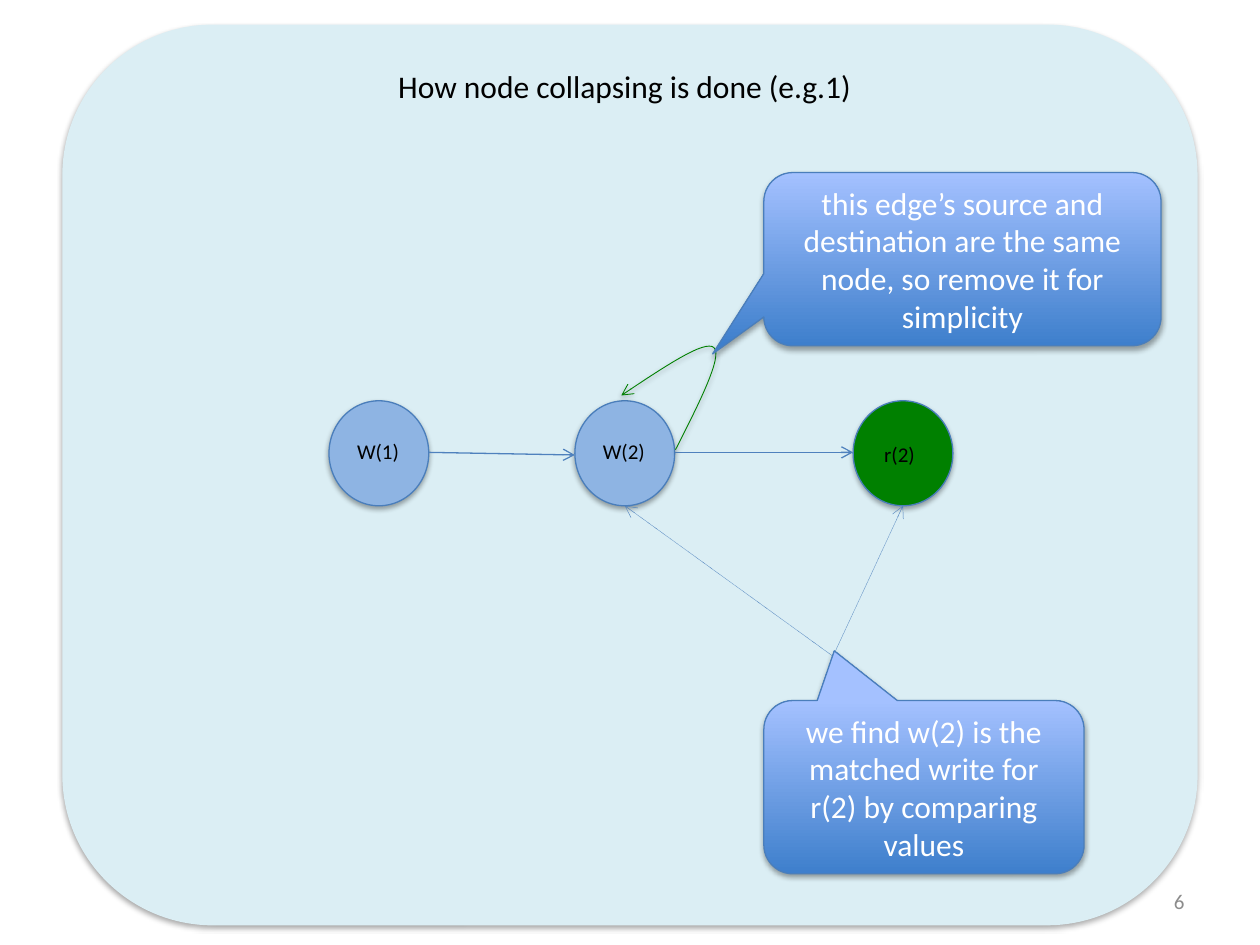
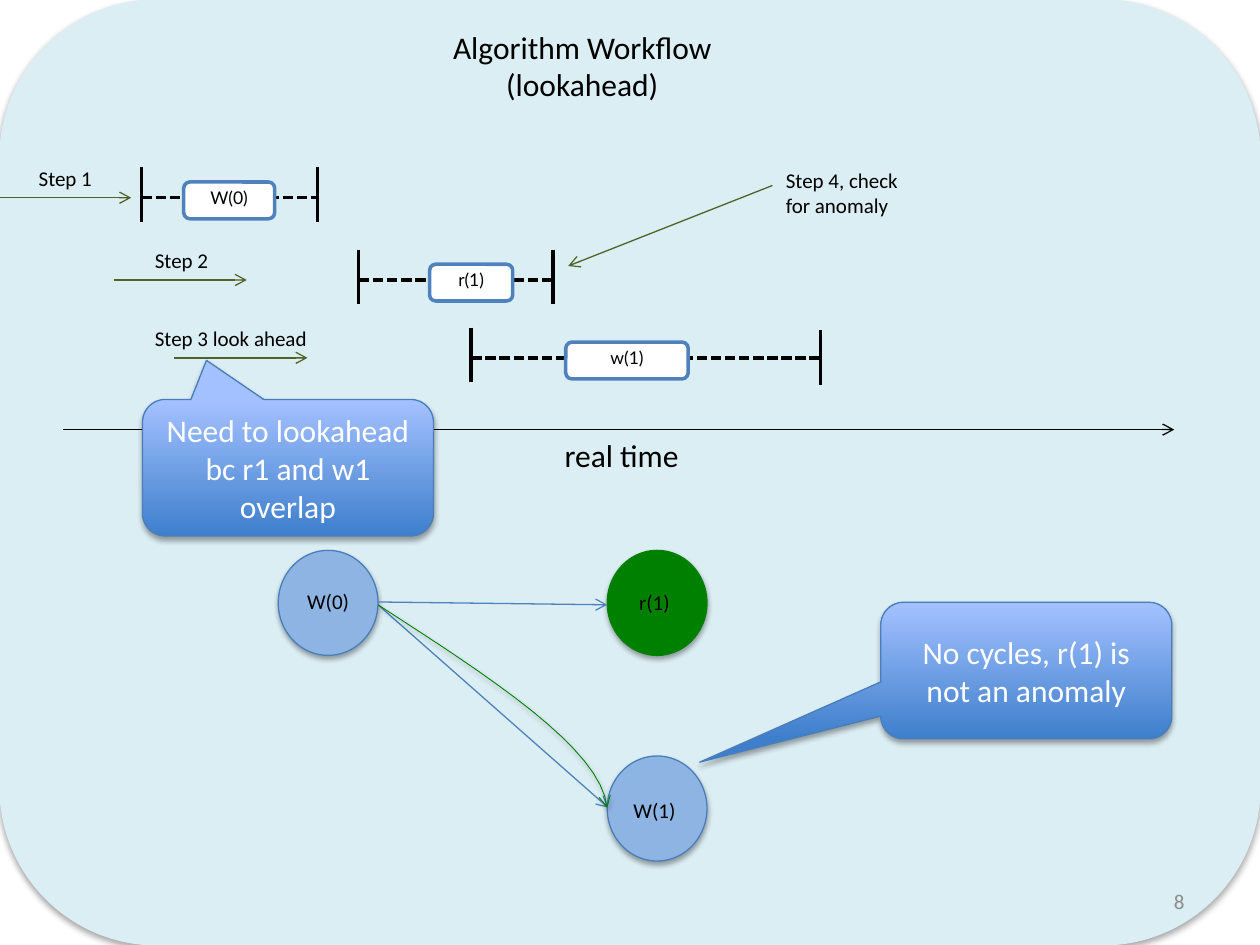
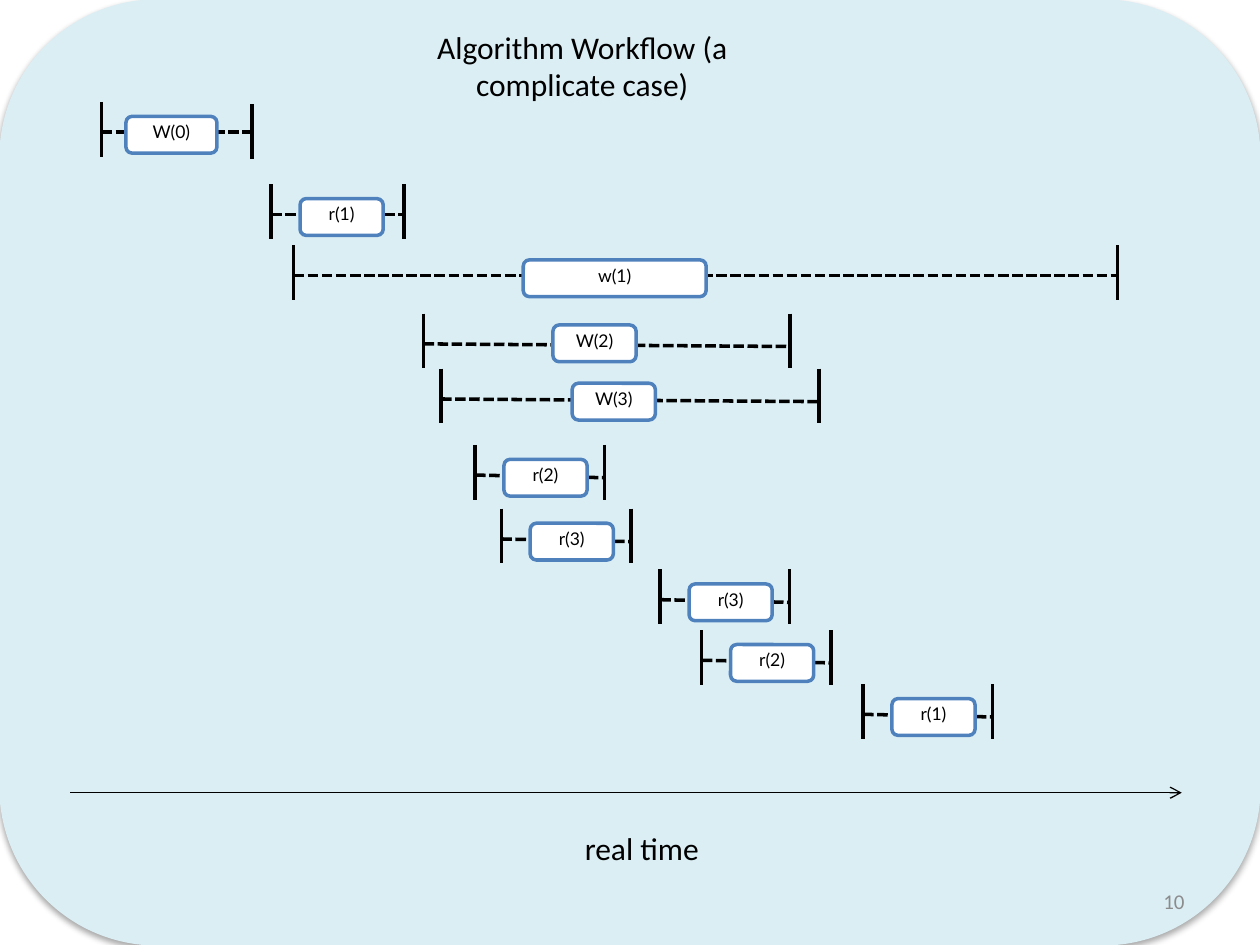
from dataclasses import dataclass

from lxml.etree import SubElement
from pptx import Presentation
from pptx.dml.color import RGBColor
from pptx.enum.dml import MSO_LINE
from pptx.enum.shapes import MSO_CONNECTOR, MSO_SHAPE
from pptx.enum.text import MSO_ANCHOR, PP_ALIGN
from pptx.oxml.ns import qn
from pptx.util import Pt


@dataclass(frozen=True)
class Theme:
    panel: str = "DBEEF4"
    ink: str = "000000"
    white: str = "FFFFFF"
    node: str = "8EB4E3"
    outline: str = "4A7EBB"
    accent: str = "4F81BD"
    green: str = "008000"
    step: str = "4F6228"
    callout_bottom: str = "3E7FCC"
    callout_top: str = "A4C1FF"
    page: str = "8C8C8C"
    font: str = "Calibri"
    operation_font: str = "Lato"
    body_size: float = 18
    label_size: float = 12
    operation_size: float = 10
    hairline: float = 0.25
    thin: float = 0.75
    thick: float = 2


THEME = Theme()
NODE_WIDTH, NODE_HEIGHT = 57, 60
CURVE_STEPS = 16


@dataclass
class Operation:
    """An operation's box on the dashed interval between two end marks."""
    label: str
    start: float
    end: float
    y: float
    box_left: float
    box_width: float = 47.5
    slope: float = 0
    mark_drop: float = 0
    box_rise: float = 9


def short_read(label, start, y):
    return Operation(label, start, start + 74, y, start + 16.5, slope=1.5)


def rgb(code):
    return RGBColor.from_string(code)


def points(*values):
    return [Pt(value) for value in values]


def set_line(shape, color, width):
    shape.line.color.rgb = rgb(color)
    shape.line.width = Pt(width)


def set_shadow(shape, opacity=35, distance=1.8):
    shape.shadow.inherit = False
    effects = shape._element.spPr.find(qn("a:effectLst"))
    outer = SubElement(effects, qn("a:outerShdw"), blurRad=str(Pt(3.1)),
                       dist=str(Pt(distance)), dir="5400000", rotWithShape="0")
    color = SubElement(outer, qn("a:srgbClr"), val=THEME.ink)
    SubElement(color, qn("a:alpha"), val=str(opacity * 1000))


def add_arrowhead(shape):
    SubElement(shape._element.spPr.find(qn("a:ln")), qn("a:tailEnd"), type="arrow")


def write(shape, text, size, color=THEME.ink, font=THEME.font,
          align=PP_ALIGN.CENTER, anchor=MSO_ANCHOR.TOP):
    frame = shape.text_frame
    frame.word_wrap = True
    frame.vertical_anchor = anchor
    paragraph = frame.paragraphs[0]
    paragraph.alignment = align
    run = paragraph.add_run()
    run.text = text
    run.font.size = Pt(size)
    run.font.name = font
    run.font.color.rgb = rgb(color)
    return paragraph


def add_text(slide, text, left, top, width, height, size, **style):
    box = slide.shapes.add_textbox(*points(left, top, width, height))
    write(box, text, size, **style)


def add_filled(slide, kind, left, top, width, height, fill, outline, weight=THEME.thin):
    shape = slide.shapes.add_shape(kind, *points(left, top, width, height))
    shape.fill.solid()
    shape.fill.fore_color.rgb = rgb(fill)
    set_line(shape, outline, weight)
    shape.shadow.inherit = False
    return shape


def add_line(slide, start, end, color, width=THEME.thin, dash=None, arrow=False):
    line = slide.shapes.add_connector(MSO_CONNECTOR.STRAIGHT, *points(*start, *end))
    set_line(line, color, width)
    if dash:
        line.line.dash_style = dash
    if arrow:
        add_arrowhead(line)
    SubElement(line._element.spPr, qn("a:effectLst"))


def add_panel(slide, left=0, top=0, width=720, height=540):
    set_shadow(add_filled(slide, MSO_SHAPE.ROUNDED_RECTANGLE, left, top, width, height,
                          THEME.panel, THEME.panel))


def add_title(slide, text, left=208, top=12.2, width=249.5, height=51):
    add_text(slide, text, left, top, width, height, THEME.body_size)


def add_page_number(slide, number):
    add_text(slide, str(number), 516, 500.5, 168, 28.8, THEME.label_size,
             color=THEME.page, align=PP_ALIGN.RIGHT, anchor=MSO_ANCHOR.MIDDLE)


def add_node(slide, label, left, top, label_shift, fill=THEME.node, outline=THEME.outline):
    set_shadow(add_filled(slide, MSO_SHAPE.OVAL, left, top, NODE_WIDTH, NODE_HEIGHT,
                          fill, outline))
    shift_x, shift_y = label_shift
    add_text(slide, label, left + shift_x, top + shift_y, 43, 22, THEME.label_size)


def add_callout(slide, text, left, top, width, height, tip):
    """tip is the pointer's end, as shares of the size from the centre."""
    callout = slide.shapes.add_shape(MSO_SHAPE.ROUNDED_RECTANGULAR_CALLOUT,
                                     *points(left, top, width, height))
    callout.adjustments[0], callout.adjustments[1] = tip
    callout.fill.gradient()
    callout.fill.gradient_angle = 90
    for stop, color in zip(callout.fill.gradient_stops,
                           (THEME.callout_bottom, THEME.callout_top)):
        stop.color.rgb = rgb(color)
    set_line(callout, THEME.outline, THEME.thin)
    set_shadow(callout)
    write(callout, text, THEME.body_size, color=THEME.white, anchor=MSO_ANCHOR.MIDDLE)


def bezier(p0, p1, p2, p3, t):
    return tuple((1 - t) ** 3 * a + 3 * (1 - t) ** 2 * t * b + 3 * (1 - t) * t * t * c
                 + t ** 3 * d for a, b, c, d in zip(p0, p1, p2, p3))


def add_curved_edge(slide, *controls):
    """Draw an arrow along joined cubic curves; each adds three control points."""
    curve = [bezier(*controls[first:first + 4], step / CURVE_STEPS)
             for first in range(0, len(controls) - 1, 3)
             for step in range(1, CURVE_STEPS + 1)]
    builder = slide.shapes.build_freeform(*points(*controls[0]))
    builder.add_line_segments([points(*point) for point in curve], close=False)
    edge = builder.convert_to_shape()
    edge.fill.background()
    set_line(edge, THEME.green, 0.5)
    add_arrowhead(edge)
    set_shadow(edge, opacity=38, distance=1.6)


def add_operation(slide, op):
    add_line(slide, (op.start, op.y), (op.end, op.y + op.slope), THEME.ink,
             THEME.thick, MSO_LINE.SQUARE_DOT)
    for x, drop in ((op.start, 0), (op.end, op.mark_drop)):
        top = op.y - 17.3 + drop
        add_line(slide, (x, top), (x, top + 31.3), THEME.ink, THEME.thick)
    box = add_filled(slide, MSO_SHAPE.ROUNDED_RECTANGLE, op.box_left, op.y - op.box_rise,
                     op.box_width, 21, THEME.white, THEME.accent, THEME.thick)
    frame = box.text_frame
    frame.margin_left = frame.margin_right = frame.margin_bottom = 0
    frame.margin_top = Pt(3)
    paragraph = write(box, op.label, THEME.operation_size, font=THEME.operation_font)
    paragraph.line_spacing = 0.9


def add_time_axis(slide, left, y, label_left, label_top):
    add_line(slide, (left, y), (left + 635, y), THEME.ink, arrow=True)
    add_text(slide, "real time", label_left, label_top, 127.5, 29, THEME.body_size)


def add_step_label(slide, text, left, top, width, height=24):
    add_text(slide, text, left, top, width, height, THEME.label_size, align=PP_ALIGN.LEFT)


def build_collapsing(slide):
    add_panel(slide, 36, 14.4, 648, 514)
    add_node(slide, "W(1)", 188, 229, (6.5, 18))
    add_node(slide, "W(2)", 328.5, 229, (6.5, 18))
    add_node(slide, "r(2)", 487.5, 229, (5, 20), fill=THEME.green)
    add_line(slide, (245, 258.5), (328.5, 260), THEME.accent, arrow=True)
    add_line(slide, (386, 258.5), (487.5, 258.5), THEME.accent, arrow=True)
    add_title(slide, "How node collapsing is done (e.g.1)", 206, 34.5, 302, 29)
    for matched_x in (516, 357):
        add_line(slide, (476, 375), (matched_x, 289), THEME.accent, THEME.hairline,
                 MSO_LINE.ROUND_DOT, arrow=True)
    add_callout(slide, "we find w(2) is the matched write for r(2) by comparing values",
                436.5, 400.3, 183, 99, (-0.28, -0.787))
    add_curved_edge(slide, (386, 257), (399.5, 230.4), (413, 203.8), (408, 198.7),
                    (403, 193.7), (379, 210), (355, 226))
    add_callout(slide, "this edge’s source and destination are the same node, "
                "so remove it for simplicity", 436.5, 98.6, 227, 99, (-0.629, 0.547))
    add_page_number(slide, 6)


def build_lookahead(slide):
    add_panel(slide)
    add_time_axis(slide, 36, 245.5, 291.5, 245.5)
    add_title(slide, "Algorithm Workflow (lookahead)")
    for op in (Operation("W(0)", 81, 181.5, 113, 105, 52),
               Operation("r(1)", 205, 316, 160, 245.5),
               Operation("w(1)", 269.3, 469, 204.5, 323.3, 70, mark_drop=1.5)):
        add_operation(slide, op)
    for text, label_left, arrow_left, arrow_right, y in (
            ("Step 1", 15, 0, 75, 113),
            ("Step 2", 81.4, 65, 141, 160),
            ("Step 3 look ahead", 81.4, 99.4, 175.7, 204.5)):
        add_line(slide, (arrow_left, y), (arrow_right, y), THEME.step, arrow=True)
        add_step_label(slide, text, label_left, y - 22, 120)
    add_callout(slide, "Need to lookahead bc r1 and w1 overlap",
                81.4, 228.3, 166.3, 78, (-0.28, -0.787))
    add_line(slide, (441.4, 106), (324.7, 152), THEME.step, arrow=True)
    add_step_label(slide, "Step 4, check for anomaly", 442, 92, 91.5, 39)
    add_node(slide, "W(0)", 159, 314.5, (7, 18))
    add_node(slide, "r(1)", 347, 314.5, (5.5, 19), THEME.green, THEME.green)
    add_line(slide, (216, 344), (347, 345.6), THEME.accent, arrow=True)
    add_line(slide, (216, 345.6), (347.5, 461.5), THEME.accent, arrow=True)
    add_node(slide, "W(1)", 347, 432, (5.5, 20))
    add_curved_edge(slide, (216, 345.6), (279.5, 386.6), (343.5, 427.7), (347, 461.5))
    add_callout(slide, "No cycles, r(1) is not an anomaly",
                503.3, 344.2, 166.3, 78, (-1.122, 0.671))
    add_page_number(slide, 8)


def build_complicated_case(slide):
    add_panel(slide)
    add_time_axis(slide, 40.3, 453, 303, 470)
    add_title(slide, "Algorithm Workflow (a complicate case)")
    for op in (Operation("W(0)", 58, 144, 75.5, 72, 52, mark_drop=1.5),
               Operation("r(1)", 155, 231, 122.5, 171.5),
               Operation("w(1)", 167.8, 638.6, 157.5, 299, 104.5),
               Operation("W(2)", 242, 451.5, 196.5, 316, slope=1.5, box_rise=10.8),
               Operation("W(3)", 252, 468, 228, 327, slope=1.5),
               short_read("r(2)", 271.5, 271.5),
               short_read("r(3)", 286.5, 308),
               short_read("r(3)", 377.3, 342.7),
               short_read("r(2)", 401, 377.3),
               short_read("r(1)", 493.2, 408.2)):
        add_operation(slide, op)
    add_page_number(slide, 10)


def main():
    deck = Presentation()
    deck.slide_width, deck.slide_height = points(720, 540)
    blank = deck.slide_layouts[6]
    for build in (build_collapsing, build_lookahead, build_complicated_case):
        build(deck.slides.add_slide(blank))
    deck.save("out.pptx")


if __name__ == "__main__":
    main()
